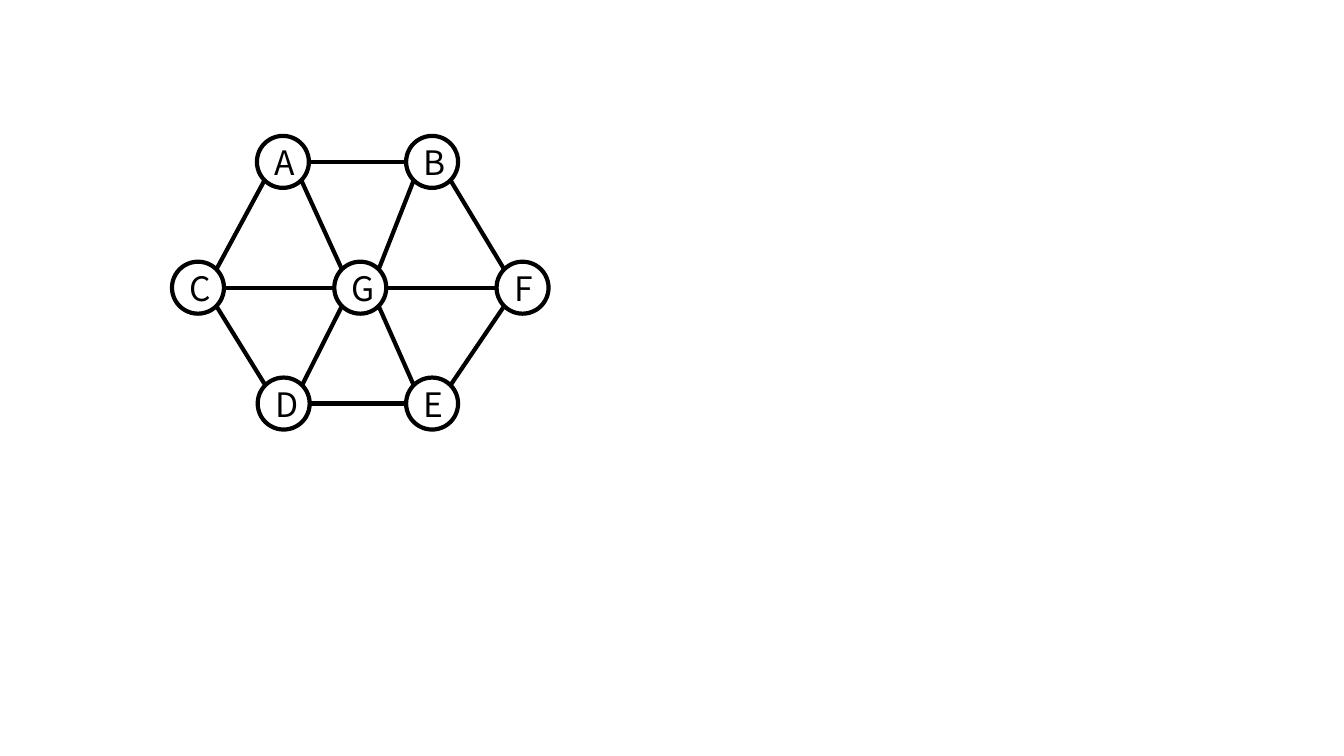
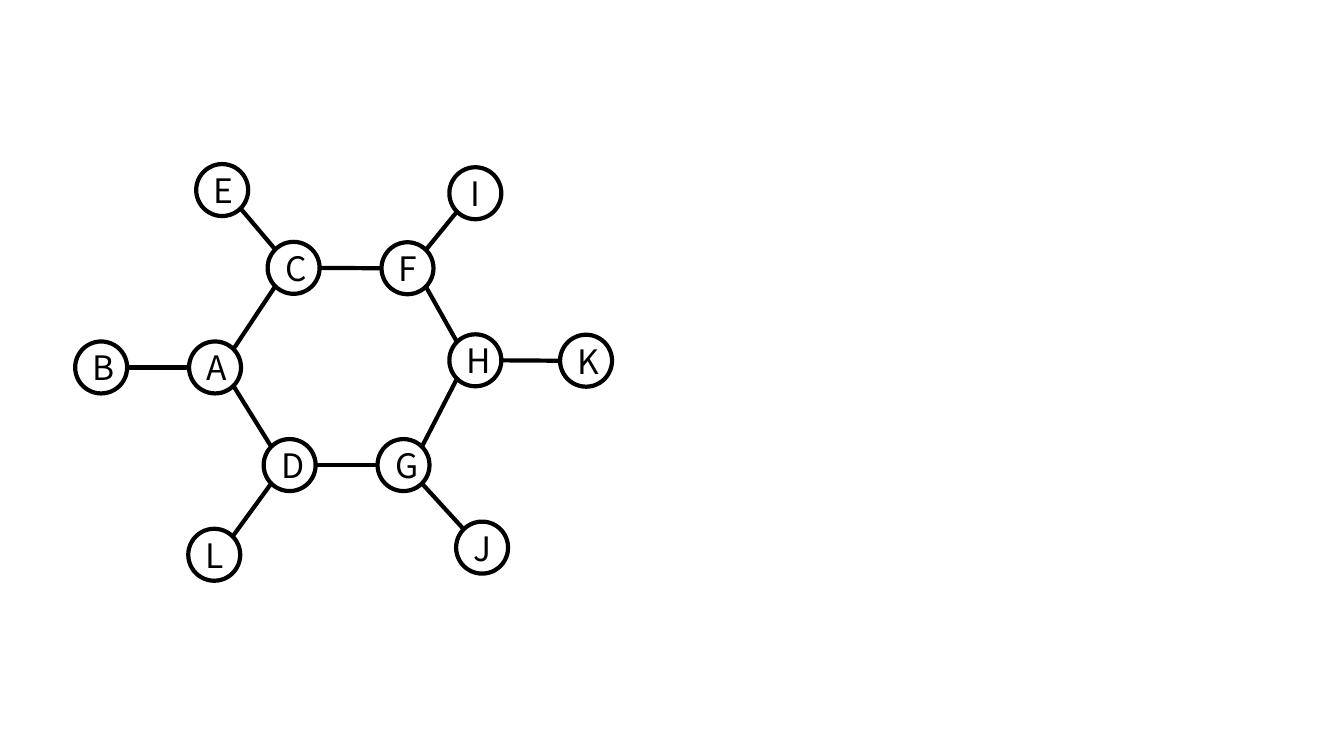
import math

import pptx
import pptx.dml.color
import pptx.enum.shapes
import pptx.enum.text
import pptx.oxml.ns
import pptx.util
from lxml import etree

Cm = pptx.util.Cm
Pt = pptx.util.Pt
qn = pptx.oxml.ns.qn

# Shared style
COLORS = {"ink": "000000"}
FONT = "Noto Sans CJK KR"
SIZE = 1.31  # node diameter, cm
STROKE = 3  # points

# Node centres in cm, and edges as pairs of letters
WHEEL = {
    "A": (7.13, 4.08), "B": (10.89, 4.08), "C": (4.99, 7.25),
    "D": (7.15, 10.17), "E": (10.89, 10.17), "F": (13.17, 7.25),
    "G": (9.08, 7.25),
}
SPOKES = "AB CG EF CA CD BF FG ED GB GA GD GE"

RING = {
    "A": (5.42, 9.26), "B": (2.55, 9.26), "C": (7.4, 6.75),
    "D": (7.3, 11.72), "E": (5.6, 4.79), "F": (10.27, 6.76),
    "G": (10.17, 11.72), "H": (11.98, 9.08), "I": (11.98, 4.87),
    "J": (12.15, 13.8), "K": (14.77, 9.09), "L": (5.4, 13.98),
}
LINKS = "EC GH AC AD FH GD CF IF KH JG LD AB"


def rgb(name):
    return pptx.dml.color.RGBColor.from_string(COLORS[name])


def ink(line):
    line.color.rgb = rgb("ink")
    line.width = Pt(STROKE)


def write(frame, text, size=24, color="ink", font=FONT):
    frame.vertical_anchor = pptx.enum.text.MSO_ANCHOR.MIDDLE
    par = frame.paragraphs[0]
    par.alignment = pptx.enum.text.PP_ALIGN.CENTER
    run = par.add_run()
    run.text = text
    run.font.name = font
    run.font.size = Pt(size)
    run.font.color.rgb = rgb(color)


def node(slide, text, spot):
    x, y = spot
    oval = slide.shapes.add_shape(
        pptx.enum.shapes.MSO_SHAPE.OVAL,
        Cm(x - SIZE / 2), Cm(y - SIZE / 2), Cm(SIZE), Cm(SIZE))
    oval.shadow.inherit = False
    oval.fill.background()
    ink(oval.line)
    write(oval.text_frame, text)
    return oval


def site(start, goal):
    """Return the oval's joint nearest the goal: its index, x and y.

    The eight joints run counterclockwise from the top.
    """
    (x, y), (u, v) = start, goal
    index = round(math.atan2(x - u, y - v) / (math.pi / 4)) % 8
    turn = index * math.pi / 4
    return (index, Cm(x - SIZE / 2 * math.sin(turn)),
            Cm(y - SIZE / 2 * math.cos(turn)))


def edge(slide, ovals, spots, pair):
    a, b = pair
    head, x, y = site(spots[a], spots[b])
    tail, u, v = site(spots[b], spots[a])
    line = slide.shapes.add_connector(
        pptx.enum.shapes.MSO_CONNECTOR.STRAIGHT, x, y, u, v)
    ink(line.line)
    root = line._element
    etree.SubElement(root.spPr, qn("a:effectLst"))
    # Glue both ends to their nodes
    glue = root.find(".//" + qn("p:cNvCxnSpPr"))
    for tag, name, index in (("a:stCxn", a, head), ("a:endCxn", b, tail)):
        etree.SubElement(glue, qn(tag), id=str(ovals[name].shape_id),
                         idx=str(index))


def graph(deck, spots, pairs):
    slide = deck.slides.add_slide(deck.slide_layouts[6])
    ovals = {name: node(slide, name, spot) for name, spot in spots.items()}
    for pair in pairs.split():
        edge(slide, ovals, spots, pair)


def main():
    deck = pptx.Presentation()
    deck.slide_width, deck.slide_height = Cm(33.87), Cm(19.05)
    graph(deck, WHEEL, SPOKES)
    graph(deck, RING, LINKS)
    deck.save("out.pptx")


main()
